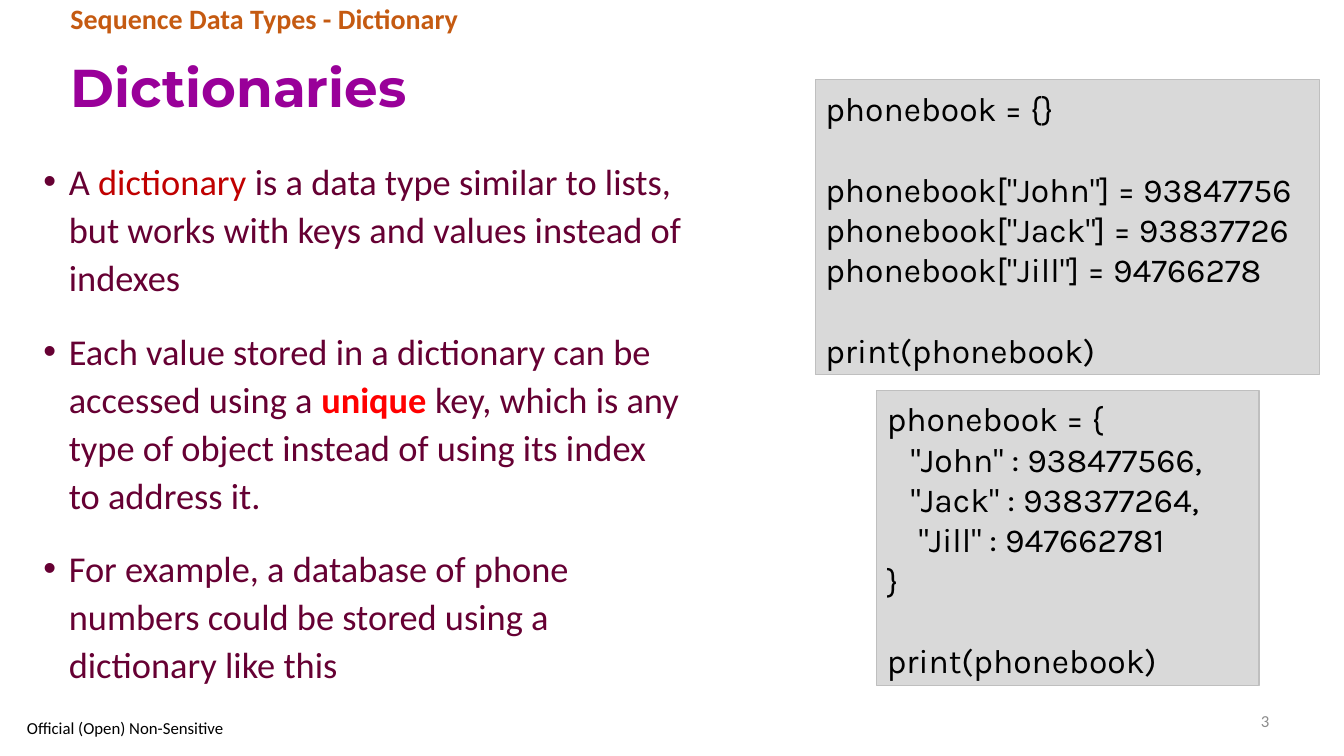
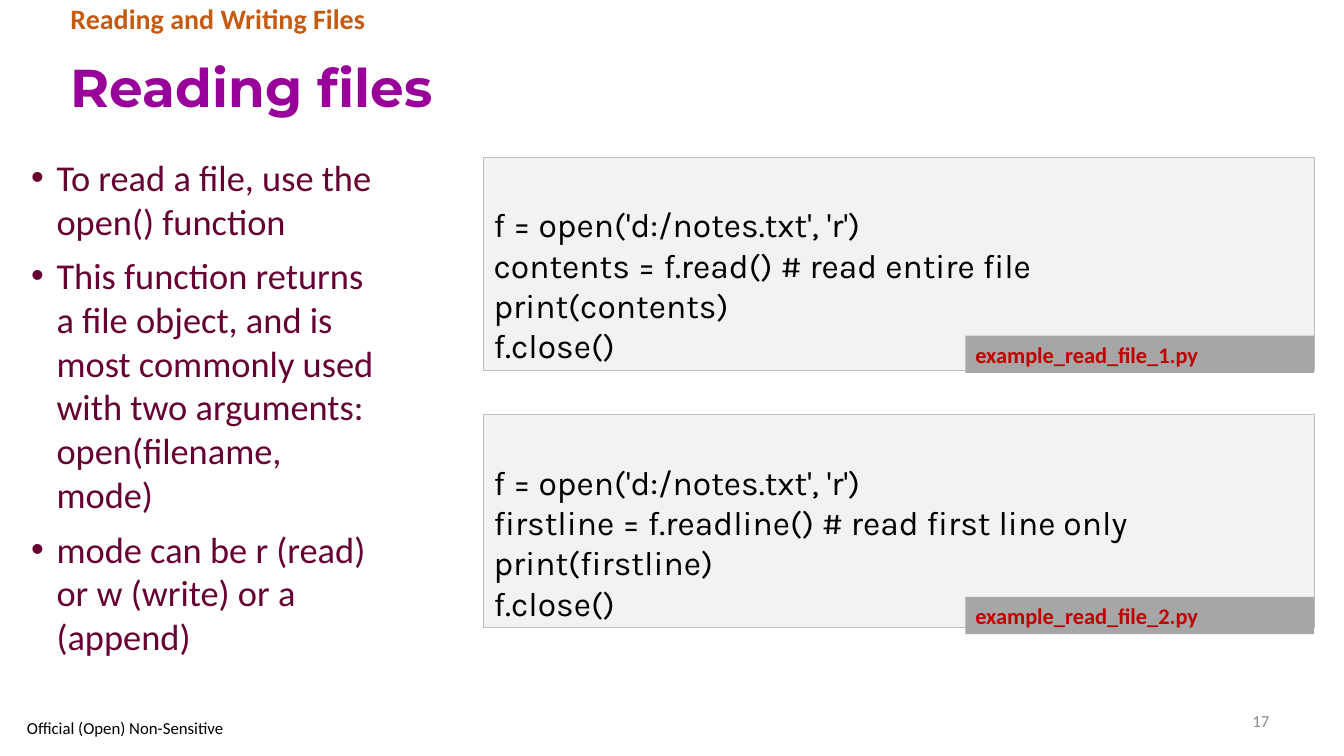
from pptx import Presentation
from pptx.dml.color import RGBColor
from pptx.enum.shapes import MSO_SHAPE
from pptx.enum.text import MSO_ANCHOR, MSO_AUTO_SIZE, PP_ALIGN
from pptx.oxml.xmlchemy import OxmlElement
from pptx.util import Cm, Pt

HUES = {
    "title": "990099", "topic": "C55A11", "body": "660033",
    "term": "C00000", "key": "FF0000", "code": "000000",
    "number": "8C8C8C", "edge": "BFBFBF",
    "dark": "D9D9D9", "light": "F2F2F2", "tag": "A6A6A6",
}

# Content: code boxes are (left, top, width, height, lines)
PAGES = [
    {
        "title": "Dictionaries", "topic": "Sequence Data Types - Dictionary",
        "number": "3", "list": (0.84, 3.78, 16.66, 13.16),
        "pitch": 1.1, "gap": 18, "fill": "dark",
        "points": [
            [("A ", "body"), ("dictionary ", "term"),
             ("is a data type similar to lists, but works with keys and "
              "values instead of indexes", "body")],
            [("Each value stored in a dictionary can be accessed using a ",
              "body"), ("unique ", "key"),
             ("key, which is any type of object instead of using its index "
              "to address it.", "body")],
            [("For example, a database of phone numbers could be stored "
              "using a dictionary like this", "body")],
        ],
        "code": [
            (20.55, 2.01, 12.7, 7.44, [
                "phonebook = {}", "",
                'phonebook["John"] = 93847756',
                'phonebook["Jack"] = 93837726',
                'phonebook["Jill"] = 94766278', "",
                "print(phonebook)"]),
            (22.1, 9.83, 9.63, 7.44, [
                "phonebook = {",
                '   "John" : 938477566,',
                '   "Jack" : 938377264,',
                '    "Jill" : 947662781',
                "}", "",
                "print(phonebook)"]),
        ],
        "tags": [],
    },
    {
        "title": "Reading files", "topic": "Reading and Writing Files",
        "number": "17", "list": (0.53, 3.78, 9.17, 13.16),
        "pitch": 1.0, "gap": 8, "fill": "light",
        "points": [
            [("To read a file, use the open() function", "body")],
            [("This function returns a file object, and is most commonly "
              "used with two arguments: open(filename, mode)", "body")],
            [("mode can be r (read) or w (write) or a (append)", "body")],
        ],
        "code": [
            (12.19, 3.96, 20.93, 5.38, [
                "f = open('d:/notes.txt', 'r')",
                "contents = f.read() # read entire file",
                "print(contents)", "f.close()"]),
            (12.19, 10.44, 20.93, 5.38, [
                "f = open('d:/notes.txt', 'r')",
                "firstline = f.readline() # read first line only",
                "print(firstline)", "f.close()"]),
        ],
        "tags": [(8.46, "example_read_file_1.py"),
                 (15.04, "example_read_file_2.py")],
    },
]


def place(shape, left, top, width, height):
    """Set the place of a shape and return its wrapped text frame."""
    shape.left, shape.top = Cm(left), Cm(top)
    shape.width, shape.height = Cm(width), Cm(height)
    frame = shape.text_frame
    frame.word_wrap = True
    frame.auto_size = MSO_AUTO_SIZE.NONE
    return frame


def style(para, size, hue, face="Calibri", bold=False, align=PP_ALIGN.LEFT):
    """Set the font and alignment of a paragraph."""
    para.alignment = align
    font = para.font
    font.name, font.size, font.bold = face, Pt(size), bold
    font.color.rgb = RGBColor.from_string(HUES[hue])


deck = Presentation()
deck.slide_width, deck.slide_height = Cm(33.87), Cm(19.05)
layout = deck.slide_layouts[3]

for page in PAGES:
    slide = deck.slides.add_slide(layout)
    shapes = slide.shapes
    title, topic, points = slide.placeholders

    # Title
    frame = place(title, 1.52, 1.04, 30.71, 2.46)
    frame.text = page["title"]
    frame.vertical_anchor = MSO_ANCHOR.MIDDLE
    para = frame.paragraphs[0]
    para.line_spacing = 0.9
    style(para, 38, "title", "Montserrat", True)

    # Topic line above the title
    frame = place(topic, 1.52, 0, 26.26, 1.04)
    frame.text = page["topic"]
    para = frame.paragraphs[0]
    para.line_spacing, para.space_before = 0.9, Pt(0)
    props = para._p.get_or_add_pPr()
    props.set("marL", "0")
    props.set("indent", "0")
    props.append(OxmlElement("a:buNone"))
    style(para, 20, "topic", bold=True)

    # Bullet list
    frame = place(points, *page["list"])
    for i, runs in enumerate(page["points"]):
        para = frame.add_paragraph() if i else frame.paragraphs[0]
        para.line_spacing = page["pitch"]
        para.space_before = Pt(page["gap"] if i else 0)
        props = para._p.get_or_add_pPr()
        props.set("marL", str(Cm(0.64)))
        props.set("indent", str(-Cm(0.64)))
        mark = OxmlElement("a:buChar")
        mark.set("char", "•")
        props.append(mark)
        style(para, 26, "body")
        for text, hue in runs:
            run = para.add_run()
            run.text = text
            if hue != "body":
                run.font.color.rgb = RGBColor.from_string(HUES[hue])
                run.font.bold = hue == "key"

    # Code boxes: an empty line becomes space before the next one
    for *area, lines in page["code"]:
        box = shapes.add_shape(MSO_SHAPE.RECTANGLE, 0, 0, 0, 0)
        box.shadow.inherit = False
        box.fill.solid()
        box.fill.fore_color.rgb = RGBColor.from_string(HUES[page["fill"]])
        box.line.color.rgb = RGBColor.from_string(HUES["edge"])
        box.line.width = Pt(0.75)
        frame = place(box, *area)
        frame.vertical_anchor = MSO_ANCHOR.BOTTOM
        gap = 0
        for i, line in enumerate(lines):
            if not line:
                gap = 28.8
                continue
            para = frame.add_paragraph() if i else frame.paragraphs[0]
            para.text = line
            para.space_before = Pt(gap)
            style(para, 24, "code", "Karla")
            gap = 0

    # File name tags
    for top, name in page["tags"]:
        tag = shapes.add_shape(MSO_SHAPE.RECTANGLE, 0, 0, 0, 0)
        tag.shadow.inherit = False
        tag.fill.solid()
        tag.fill.fore_color.rgb = RGBColor.from_string(HUES["tag"])
        tag.line.fill.background()
        frame = place(tag, 24.33, top, 8.79, 0.94)
        frame.text = name
        style(frame.paragraphs[0], 16, "term", bold=True)

    # Footer: label and page number
    for area, text, hue, align in (
        ((0.43, 18.01, 5.69, 0.66), "Official (Open) Non-Sensitive",
         "code", PP_ALIGN.LEFT),
        ((23.93, 17.65, 8.31, 1.02), page["number"],
         "number", PP_ALIGN.RIGHT),
    ):
        frame = place(shapes.add_textbox(0, 0, 0, 0), *area)
        frame.text = text
        frame.vertical_anchor = MSO_ANCHOR.MIDDLE
        style(frame.paragraphs[0], 12, hue, align=align)

deck.save("out.pptx")
